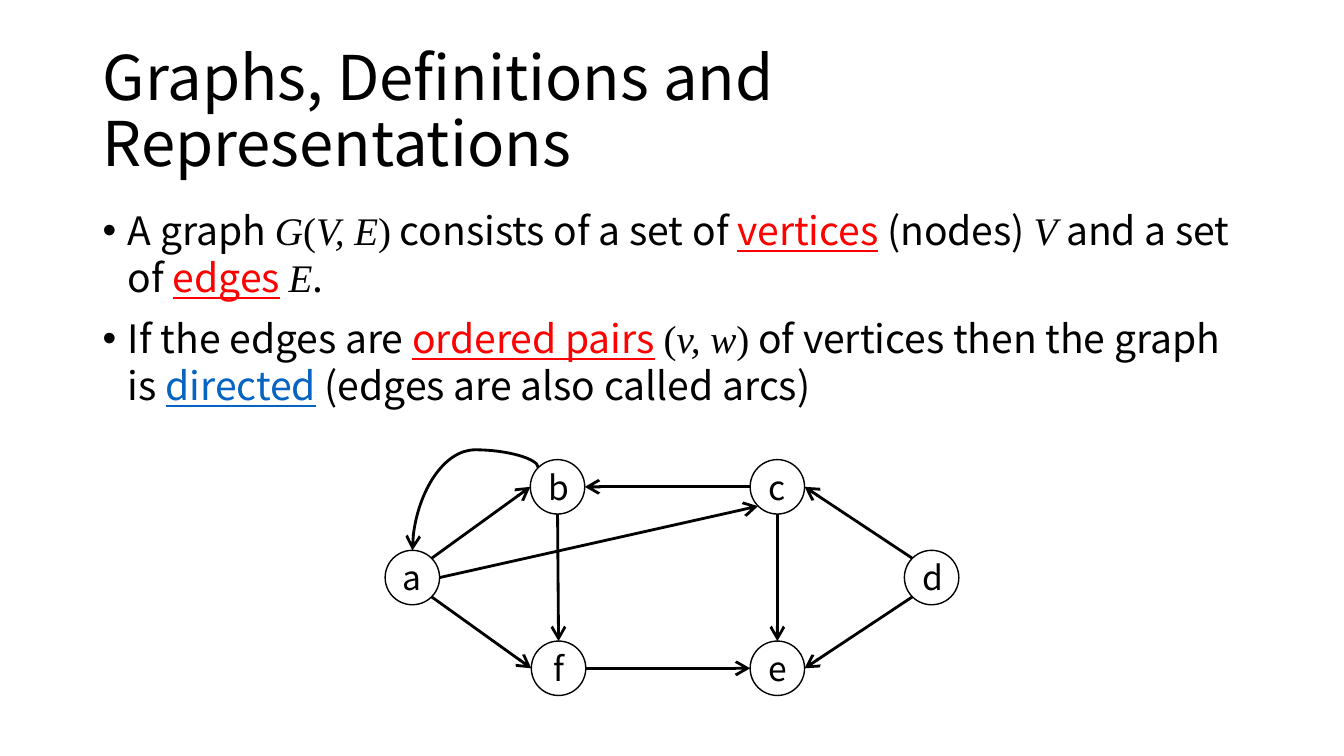
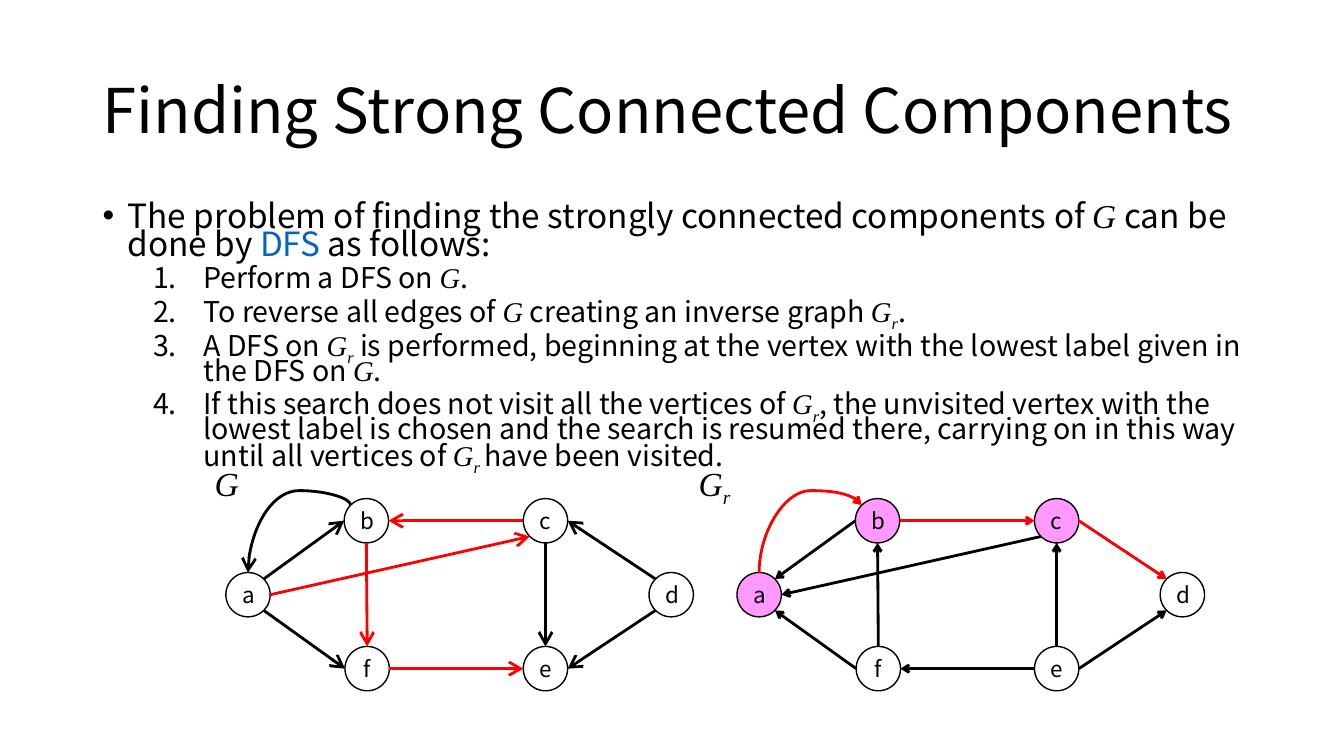
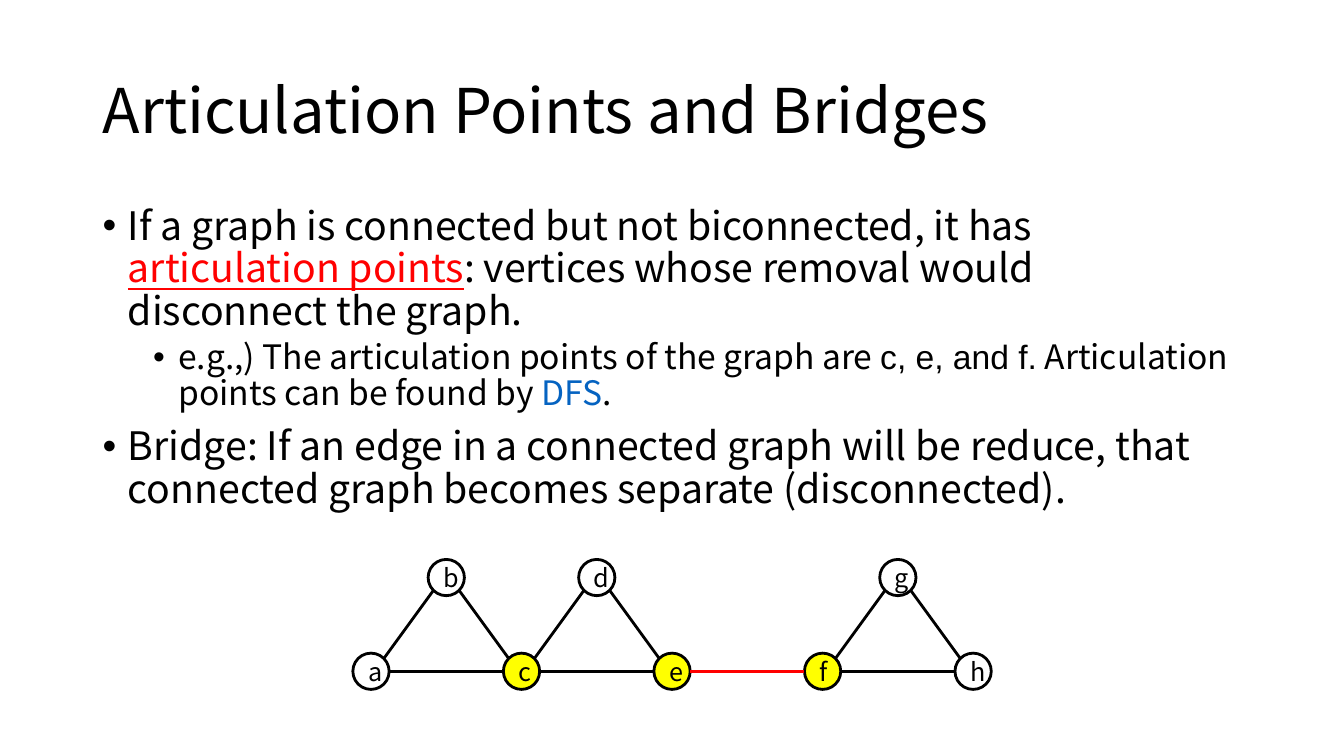
from lxml.etree import SubElement
from pptx import Presentation
from pptx.dml.color import RGBColor
from pptx.enum.shapes import MSO_CONNECTOR, MSO_SHAPE
from pptx.enum.text import MSO_ANCHOR, PP_ALIGN
from pptx.oxml.ns import qn
from pptx.util import Pt

PX = 9144  # 100 px to the inch
HUE = {"black": "000000", "white": "FFFFFF", "red": "FF0000",
       "blue": "0563C1", "pink": "FF99FF", "yellow": "FFFF00"}
SANS, SERIF = "Noto Sans CJK JP", "Times New Roman"

# Run styles: font, colour, italic, underline, baseline
LOOK = {
    "plain": (SANS, "black", False, False, 0),
    "serif": (SERIF, "black", False, False, 0),
    "math": (SERIF, "black", True, False, 0),
    "sub": (SERIF, "black", True, False, -25000),
    "arial": ("Arial", "black", False, False, 0),
    "term": (SANS, "red", False, True, 0),
    "link": (SANS, "blue", False, True, 0),
    "blue": (SANS, "blue", False, False, 0),
}
# Ellipse connection sites: index and offset from the centre in radii
SITE = {"N": (0, 0, -1), "NW": (1, -0.71, -0.71), "W": (2, -1, 0),
        "SW": (3, -0.71, 0.71), "S": (4, 0, 1), "SE": (5, 0.71, 0.71),
        "E": (6, 1, 0), "NE": (7, 0.71, -0.71)}
# List levels: left margin, indent, space before
LEVEL = {"top": (25, -25, 10), "dot": (75, -25, 5), "num": (100, -50, 5)}


def write(para, size, parts):
    """Add styled runs; parts alternate between plain text and (text, look)."""
    for part in parts:
        text, look = (part, "plain") if isinstance(part, str) else part
        face, hue, slant, under, base = LOOK[look]
        run = para.add_run()
        run.text = text
        font = run.font
        font.name, font.size = face, Pt(size)
        font.italic, font.underline = slant, under
        font.color.rgb = RGBColor.from_string(HUE[hue])
        if base:
            run._r.get_or_add_rPr().set("baseline", str(base))


def draw(page, spots, size, font, rim, edges, fills, reds, end=None, head="med"):
    """Draw circles at centre spots, then edges such as 'c W b E'."""
    nodes = {}
    for name, (x, y) in spots.items():
        node = page.shapes.add_shape(
            MSO_SHAPE.OVAL, round((x - size / 2) * PX), round((y - size / 2) * PX),
            size * PX, size * PX)
        node.shadow.inherit = False
        node.fill.solid()
        node.fill.fore_color.rgb = RGBColor.from_string(HUE[fills.get(name, "white")])
        node.line.color.rgb = RGBColor.from_string(HUE["black"])
        node.line.width = Pt(rim)
        para = node.text_frame.paragraphs[0]
        para.alignment = PP_ALIGN.CENTER
        write(para, font, [name])
        nodes[name] = node
    for edge in edges:
        tail, out, tip, into = edge.split()
        ends = []
        for name, side in ((tail, out), (tip, into)):
            _, dx, dy = SITE[side]
            x, y = spots[name]
            ends.append((x + dx * size / 2, y + dy * size / 2))
        (x1, y1), (x2, y2) = ends
        bent = out == "NW" and into == "N"
        if bent:
            # The frame is turned a quarter about its centre, so its sides swap
            mx, my = (x1 + x2) / 2, (y1 + y2) / 2
            wide, tall = abs(y2 - y1) / 2, abs(x2 - x1) / 2
            x1, y1, x2, y2 = mx + wide, my + tall, mx - wide, my - tall
        kind = MSO_CONNECTOR.CURVE if bent else MSO_CONNECTOR.STRAIGHT
        link = page.shapes.add_connector(
            kind, *(round(v * PX) for v in (x1, y1, x2, y2)))
        prop = link._element.spPr
        if bent:
            prop.find(qn("a:xfrm")).set("rot", "16200000")
            SubElement(prop.find(".//" + qn("a:avLst")), qn("a:gd"),
                       name="adj1", fmla="val -21500")
        cxn = link._element.nvCxnSpPr.cNvCxnSpPr
        for tag, name, side in (("a:stCxn", tail, out), ("a:endCxn", tip, into)):
            SubElement(cxn, qn(tag), id=str(nodes[name].shape_id),
                       idx=str(SITE[side][0]))
        link.line.color.rgb = RGBColor.from_string(
            HUE["red" if tail + tip in reds else "black"])
        link.line.width = Pt(2)
        if end:
            SubElement(link.line._get_or_add_ln(), qn(end),
                       type="arrow", w=head, len=head)
        SubElement(prop, qn("a:effectLst"))


G, SUB = ("G", "math"), ("r", "sub")
# Each page: title, line spacing, paragraphs of (level, size, parts)
PAGES = [
    ("Graphs, Definitions and Representations", 1, [
        ("top", 27.9, ["A graph ", G, ("(", "serif"), ("V, E", "math"), (")", "serif"),
                       " consists of a set of ", ("vertices", "term"), " (nodes) ",
                       ("V", "math"), " and a set of ", ("edges", "term"), " ",
                       ("E", "math"), "."]),
        ("top", 27.9, ["If the edges are ", ("ordered pairs", "term"), " ",
                       ("(", "serif"), ("v, w", "math"), (")", "serif"),
                       " of vertices then the graph is ", ("directed", "link"),
                       " (edges are also called arcs)"]),
    ]),
    ("Finding Strong Connected Components", 0.7, [
        ("top", 23.8, ["The problem of finding the strongly connected components of ",
                       ("G ", "math"), "can be done by", (" DFS", "blue"),
                       " as follows:"]),
        ("num", 20.4, ["Perform a DFS on ", G, "."]),
        ("num", 20.4, ["To reverse all edges of ", G, " creating an inverse graph ",
                       G, SUB, "."]),
        ("num", 20.4, ["A DFS on ", G, SUB, " is performed, beginning at the vertex "
                       "with the lowest label given in the DFS on ", G, "."]),
        ("num", 20.4, ["If this search does not visit all the vertices of ", G, SUB,
                       ", the unvisited vertex with the lowest label is chosen and "
                       "the search is resumed there, carrying on in this way until "
                       "all vertices of ", G, ("r ", "sub"), "have been visited."]),
    ]),
    ("Articulation Points and Bridges", 0.9, [
        ("top", 28, ["If a graph is connected but not biconnected, it has ",
                     ("articulation points", "term"),
                     ": vertices whose removal would disconnect the graph."]),
        ("dot", 24, ["e.g.,) The articulation points of the graph are ",
                     ("c, e, and f.", "arial"),
                     " Articulation points can be found by ", ("DFS", "blue"), "."]),
        ("top", 28, ["Bridge: If an edge in a connected graph will be reduce, that "
                     "connected graph becomes separate (disconnected)."]),
    ]),
]

deck = Presentation()
deck.slide_width, deck.slide_height = 1333 * PX, 750 * PX
pages = []
for title, space, paras in PAGES:
    page = deck.slides.add_slide(deck.slide_layouts[6])
    pages.append(page)
    frame = page.shapes.add_textbox(92 * PX, 40 * PX, 1150 * PX, 145 * PX).text_frame
    frame.word_wrap = True
    frame.vertical_anchor = MSO_ANCHOR.MIDDLE
    frame.paragraphs[0].line_spacing = 0.9
    write(frame.paragraphs[0], 44, [title])

    frame = page.shapes.add_textbox(92 * PX, 200 * PX, 1150 * PX, 264 * PX).text_frame
    frame.word_wrap = True
    for i, (level, size, parts) in enumerate(paras):
        para = frame.add_paragraph() if i else frame.paragraphs[0]
        left, dent, before = LEVEL[level]
        prop = para._p.get_or_add_pPr()
        prop.set("marL", str(left * PX))
        prop.set("indent", str(dent * PX))
        if level == "num":
            SubElement(prop, qn("a:buFont"), typeface=SANS)
            SubElement(prop, qn("a:buAutoNum"), type="arabicPeriod")
        else:
            SubElement(prop, qn("a:buFont"), typeface="Arial")
            SubElement(prop, qn("a:buChar"), char="•")
        para.level = int(level != "top")
        para.line_spacing = space
        if i:
            para.space_before = Pt(before)
        write(para, size, parts)

# Directed graph, centres relative to node a
SHAPE = {"f": (145, 90), "b": (144, -90), "c": (362, -90),
         "e": (362, 90), "d": (515, 0), "a": (0, 0)}
ARCS = ["c W b E", "c S e N", "d NW c E", "d SW e E", "f E e W", "b S f N",
        "a NE b W", "a SE f W", "a E c SW", "b NW a N"]
PINK = dict.fromkeys("abc", "pink")
GRAPHS = [
    (0, 409, 573, 1, 54, 24, {}, (), "a:tailEnd", "lg"),
    (1, 246, 590, 0.815, 44, 16, {}, ("cb", "fe", "bf", "ac"), "a:tailEnd", "lg"),
    (1, 753, 590, 0.815, 44, 16, PINK, ("cb", "dc", "ba"), "a:headEnd", "med"),
]
for num, x, y, zoom, size, font, fills, reds, end, head in GRAPHS:
    spots = {k: (x + dx * zoom, y + dy * zoom) for k, (dx, dy) in SHAPE.items()}
    draw(pages[num], spots, size, font, 1, ARCS, fills, reds, end, head)

for x, wide, parts in ((203, 45, [G]), (683, 53, [G, SUB])):
    frame = pages[1].shapes.add_textbox(x * PX, 454 * PX, wide * PX, 50 * PX).text_frame
    frame.word_wrap = False
    write(frame.paragraphs[0], 24, parts)

# Chain of triangles joined by a bridge
STEP = 149.3
spots = {k: (368 + i * STEP, 666) for i, k in enumerate("acefh")}
spots.update({k: (368 + i * STEP, 573) for k, i in (("b", 0.5), ("d", 1.5), ("g", 3.5))})
sides = [f"{p} E {q} W" for p, q in ("ac", "ce", "ef", "fh")]
for left, top, right in ("abc", "cde", "fgh"):
    sides += [f"{left} NE {top} SW", f"{right} NW {top} SE"]
draw(pages[2], spots, 36, 18, 2, sides, dict.fromkeys("cef", "yellow"), ("ef",))

deck.save("out.pptx")
